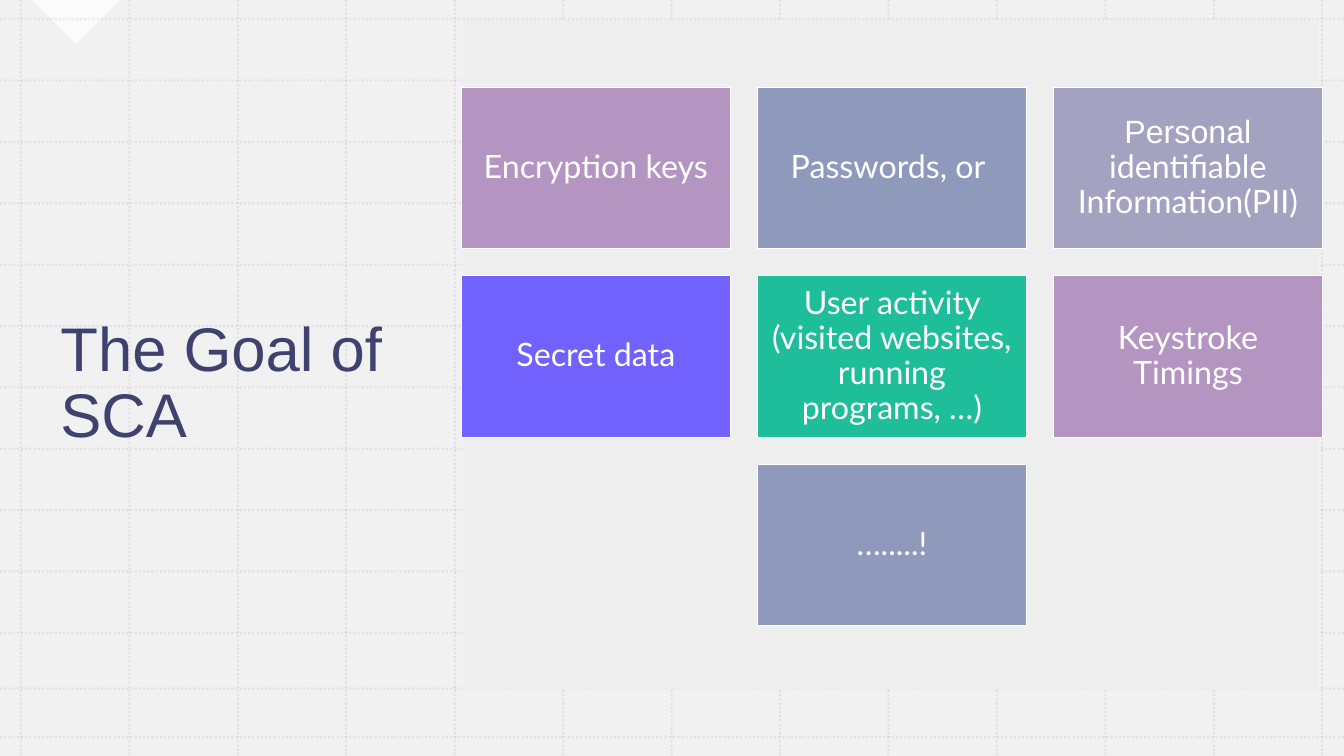
from pptx import Presentation
from pptx.dml.color import RGBColor
from pptx.enum.dml import MSO_LINE_DASH_STYLE as Dash
from pptx.enum.shapes import MSO_CONNECTOR as Connector, MSO_SHAPE as Shape
from pptx.enum.text import MSO_ANCHOR as Anchor, MSO_AUTO_SIZE as AutoSize, PP_ALIGN as Align
from pptx.oxml.ns import qn
from pptx.util import Cm, Pt
from lxml.etree import SubElement

WIDTH, HEIGHT = 33.87, 19.05
COLUMNS, ROWS = 3, 3
CARD_WIDTH, CARD_HEIGHT = 6.78, 4.07
CARD_LEFT, CARD_TOP = 11.63, 2.2
CARD_GAP = 0.68

# Column, row, fill and (text, font) runs of each card
CARDS = [
    (0, 0, "B495C2", [("Encryption keys", "Lato")]),
    (1, 0, "8F99BB", [("Passwords, or ", "Lato")]),
    (2, 0, "A3A3C1", [("Personal", "Arial"), (" identifiable Information(PII)", "Lato")]),
    (0, 1, "7162FE", [("Secret data", "Lato")]),
    (1, 1, "1EBE9B", [("User activity (visited websites, running programs, …)", "Lato")]),
    (2, 1, "B495C2", [("Keystroke Timings", "Lato")]),
    (1, 2, "8F99BB", [("….....!", "Lato")]),
]


def set_color(target, hex_color, opacity=100):
    """Give a fill or a font a solid colour."""
    fill = getattr(target, "fill", target)
    fill.solid()
    fill.fore_color.rgb = RGBColor.from_string(hex_color)
    if opacity < 100:
        color = fill._xPr.find(qn("a:solidFill"))[0]
        SubElement(color, qn("a:alpha"), val=str(opacity * 1000))


def add_block(slide, kind, left, top, width, height, color, opacity=100):
    shape = slide.shapes.add_shape(kind, Cm(left), Cm(top), Cm(width), Cm(height))
    shape.shadow.inherit = False
    set_color(shape.fill, color, opacity)
    shape.line.fill.background()
    return shape


def add_grid_line(slide, x1, y1, x2, y2):
    line = slide.shapes.add_connector(Connector.STRAIGHT, Cm(x1), Cm(y1), Cm(x2), Cm(y2))
    line.line.width = Pt(1.5)
    set_color(line.line, "B495C2", 20)
    line.line.dash_style = Dash.ROUND_DOT
    SubElement(line._element.spPr, qn("a:effectLst"))


def add_grid(slide):
    first_x, last_x = 0.53, 33.32
    for i in range(13):
        x = first_x + i * (last_x - first_x) / 12
        add_grid_line(slide, x, 0, x, HEIGHT)
    first_y, last_y = 0.48, 15.95
    rows = [first_y + i * (last_y - first_y) / 10 for i in range(11)]
    for y in rows + [17.35, 18.57]:
        add_grid_line(slide, 0, y, WIDTH, y)


def add_title(slide, text):
    title = slide.shapes.title
    title.left, title.top, title.width, title.height = Cm(1.27), Cm(2), Cm(10.34), Cm(15.37)
    frame = title.text_frame
    frame.text = text
    frame.word_wrap = True
    frame.auto_size = AutoSize.NONE
    frame.vertical_anchor = Anchor.MIDDLE
    paragraph = frame.paragraphs[0]
    paragraph.alignment = Align.LEFT
    paragraph.line_spacing = 0.9
    paragraph.font.name = "Arial"
    paragraph.font.size = Pt(44)
    set_color(paragraph.font, "3F416F")
    # Bring the title in front of the grid
    slide.shapes._spTree.append(title._element)


def add_card(slide, column, row, color, runs):
    left = CARD_LEFT + column * (CARD_WIDTH + CARD_GAP)
    top = CARD_TOP + row * (CARD_HEIGHT + CARD_GAP)
    card = add_block(slide, Shape.RECTANGLE, left, top, CARD_WIDTH, CARD_HEIGHT, color)
    set_color(card.line, "FFFFFF")
    card.line.width = Pt(1)
    frame = card.text_frame
    frame.word_wrap = True
    frame.vertical_anchor = Anchor.MIDDLE
    frame.margin_left = frame.margin_right = Cm(0.25)
    frame.margin_top = frame.margin_bottom = Cm(0.25)
    paragraph = frame.paragraphs[0]
    paragraph.alignment = Align.CENTER
    paragraph.line_spacing = 0.9
    paragraph.font.size = Pt(23)
    set_color(paragraph.font, "FFFFFF")
    for text, font_name in runs:
        run = paragraph.add_run()
        run.text = text
        run.font.name = font_name


def main():
    presentation = Presentation()
    presentation.slide_width, presentation.slide_height = Cm(WIDTH), Cm(HEIGHT)
    slide = presentation.slides.add_slide(presentation.slide_layouts[5])

    # Backdrop: corner triangle and dotted grid
    set_color(slide.background.fill, "F1F1F1")
    corner = add_block(slide, Shape.RIGHT_TRIANGLE, 1.14, -0.79, 1.57, 1.57, "FFFFFF", 75)
    corner.rotation = 315
    add_grid(slide)

    # Title on the left, panel of cards on the right
    add_title(slide, "The Goal of SCA")
    add_block(slide, Shape.RECTANGLE, 11.68, 0.53, 21.56, 16.84, "EEEEEE")
    for card in CARDS:
        add_card(slide, *card)

    presentation.save("out.pptx")


if __name__ == "__main__":
    main()
